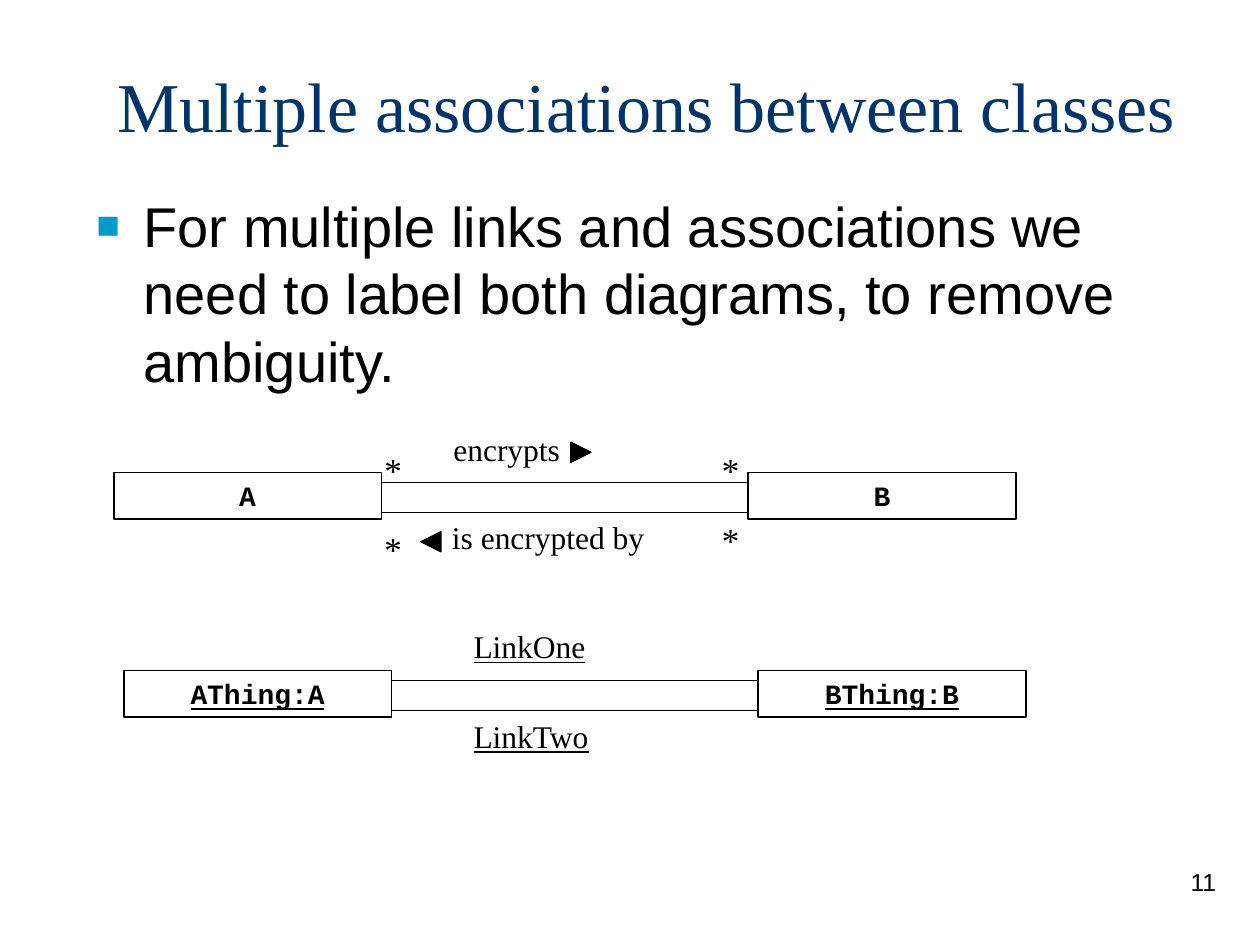
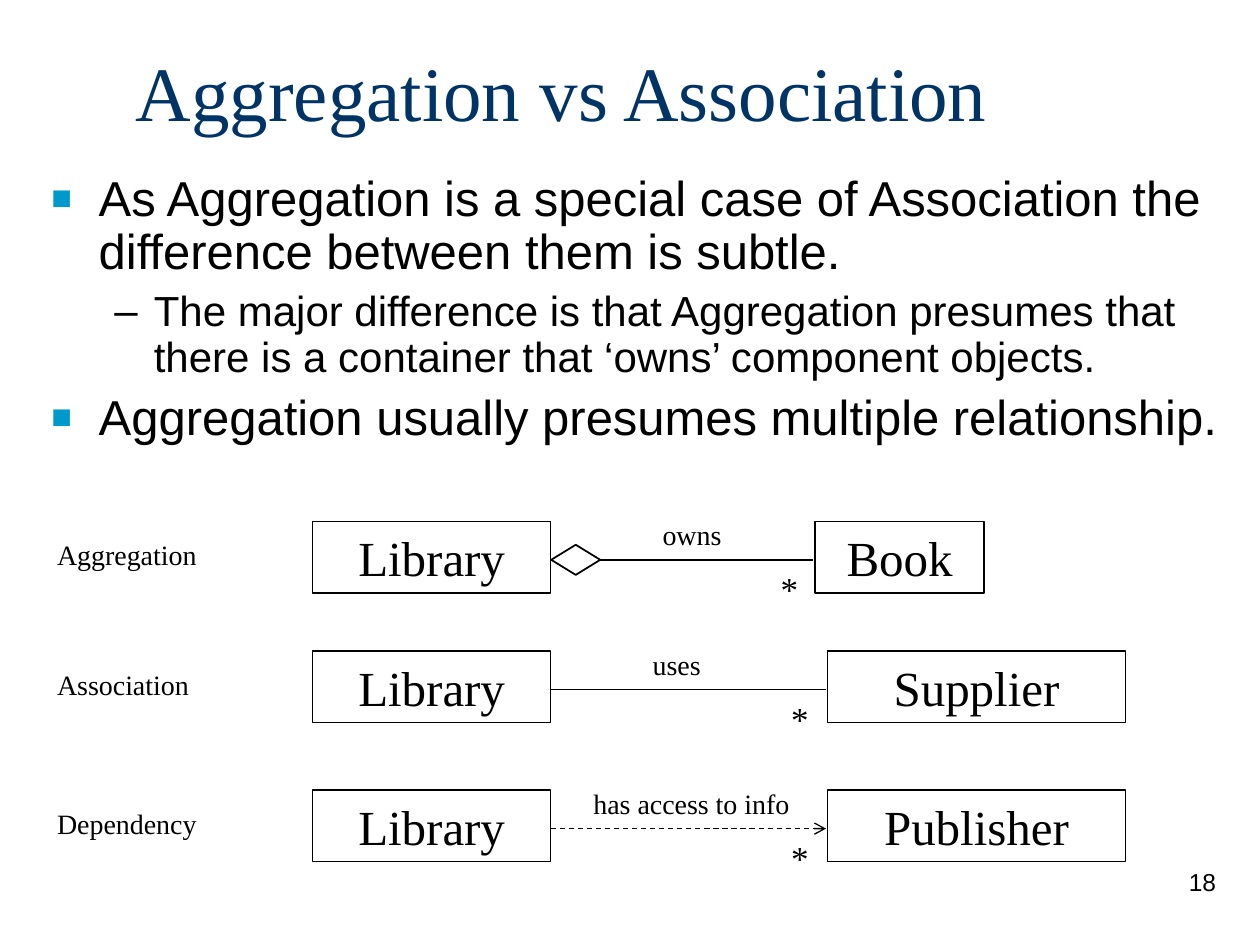
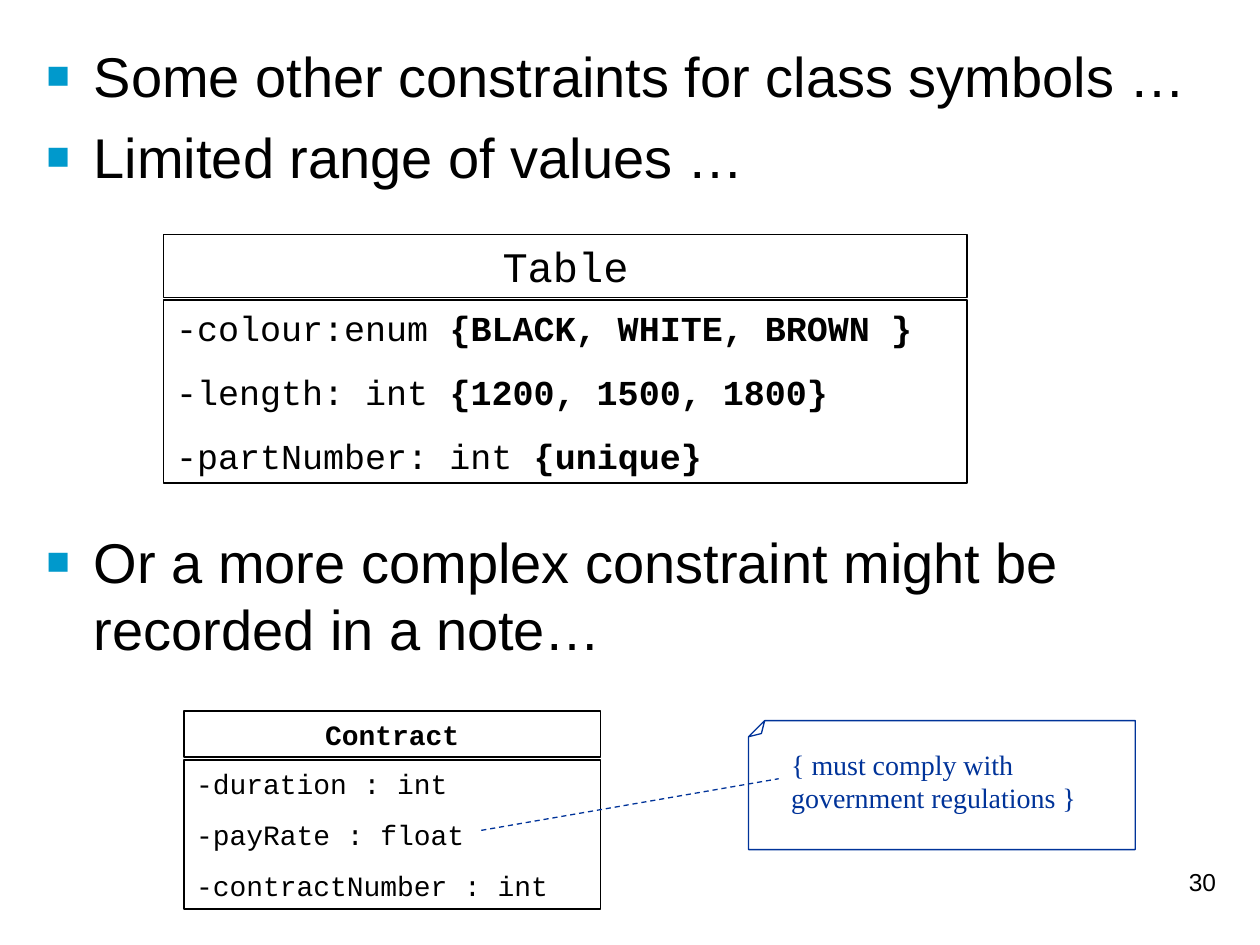
from lxml import etree
from pptx import Presentation
from pptx.dml.color import RGBColor
from pptx.enum.dml import MSO_LINE
from pptx.enum.shapes import MSO_CONNECTOR, MSO_SHAPE
from pptx.enum.text import MSO_ANCHOR, PP_ALIGN
from pptx.oxml.ns import qn
from pptx.util import Pt

LEFT, CENTER, RIGHT = PP_ALIGN.LEFT, PP_ALIGN.CENTER, PP_ALIGN.RIGHT
TOP, MIDDLE = MSO_ANCHOR.TOP, MSO_ANCHOR.MIDDLE
RECTANGLE, DIAMOND = MSO_SHAPE.RECTANGLE, MSO_SHAPE.DIAMOND
TRIANGLE, FOLDED_CORNER = MSO_SHAPE.ISOSCELES_TRIANGLE, MSO_SHAPE.FOLDED_CORNER
STRAIGHT, DASH = MSO_CONNECTOR.STRAIGHT, MSO_LINE.DASH


class Theme:
    ink = RGBColor.from_string("000000")
    title = RGBColor.from_string("003366")
    note = RGBColor.from_string("003399")
    bullet = "0099CC"
    serif, sans, mono = "Times New Roman", "Arial", "Courier New"
    thin, medium = 0.75, 1
    number_size, small, label, star = 14, 16, 18, 20
    attribute, class_name, entity = 20, 24, 28


def draw_box(page, frame, lines=(), font=Theme.serif, size=Theme.small, color=Theme.ink,
             bold=None, underline=None, align=LEFT, anchor=TOP, gap=0, wrap=True,
             preset=None, border=Theme.thin):
    """Draw a text box, or an outlined preset shape; in a tuple line, later spans are bold."""
    left, top, width, height = map(Pt, frame)
    if preset is None:
        box = page.shapes.add_textbox(left, top, width, height)
    else:
        box = page.shapes.add_shape(preset, left, top, width, height)
        box.shadow.inherit = False
        box.fill.background()
        box.line.color.rgb = color
        box.line.width = Pt(border)
    text_frame = box.text_frame
    text_frame.word_wrap = wrap
    text_frame.vertical_anchor = anchor
    for index, line in enumerate(lines):
        para = text_frame.add_paragraph() if index else text_frame.paragraphs[0]
        para.alignment = align
        if index:
            para.space_before = Pt(gap)
        para.font.name, para.font.size = font, Pt(size)
        para.font.bold, para.font.underline = bold, underline
        para.font.color.rgb = color
        for position, words in enumerate(line if isinstance(line, tuple) else (line,)):
            span = para.add_run()
            span.text = words
            if position:
                span.font.bold = True
    return box


def draw_line(page, start, end, color=Theme.ink, dash=None, arrow=False):
    line = page.shapes.add_connector(STRAIGHT, *map(Pt, (*start, *end)))
    line.line.color.rgb = color
    line.line.width = Pt(Theme.thin)
    if dash:
        line.line.dash_style = dash
    properties = line.element.spPr
    if arrow:
        etree.SubElement(properties.find(qn("a:ln")), qn("a:tailEnd"), type="arrow")
    etree.SubElement(properties, qn("a:effectLst"))


deck = Presentation()
deck.slide_width, deck.slide_height = Pt(720), Pt(540)

# Titles, bulleted text and page numbers
# Bullet: level, size, space before, text
outlines = [
    {"number": "11", "title": "Multiple associations between classes",
     "title_frame": (60, 15, 645, 90), "title_size": 40,
     "body_frame": (48, 106, 612, 402), "spacing": 1,
     "bullets": [(0, 32, 0, "For multiple links and associations we need to label both "
                            "diagrams, to remove ambiguity.")]},
    {"number": "18", "title": "Aggregation vs Association",
     "title_frame": (70.5, 15, 612, 73.5), "title_size": 44,
     "body_frame": (22.3, 96, 684.7, 171), "spacing": 0.9,
     "bullets": [(0, 28, 0, "As Aggregation is a special case of Association the "
                            "difference between them is subtle."),
                 (1, 24, 6, "The major difference is that Aggregation presumes that "
                            "there is a container that ‘owns’ component objects."),
                 (0, 28, 7, "Aggregation usually presumes multiple relationship.")]},
    {"number": "30", "title": None,
     "body_frame": (19.5, 20, 679, 408), "spacing": 1,
     "bullets": [(0, 32, 0, "Some other constraints for class symbols …"),
                 (0, 32, 8, "Limited range of values …"),
                 (0, 32, 193, "Or a more complex constraint might be recorded in a note…")]},
]
# Level: bullet character, colour, size in percent, text indent, hanging indent
levels = [("■", Theme.bullet, 70, 27, 27), ("–", str(Theme.ink), 100, 58.5, 22.5)]

pages = []
for outline in outlines:
    page = deck.slides.add_slide(deck.slide_layouts[6])
    pages.append(page)
    if outline["title"]:
        draw_box(page, outline["title_frame"], [outline["title"]],
                 size=outline["title_size"], color=Theme.title, anchor=MIDDLE)
    body = draw_box(page, outline["body_frame"]).text_frame
    for index, (level, size, gap, words) in enumerate(outline["bullets"]):
        mark, mark_color, percent, indent, hanging = levels[level]
        para = body.add_paragraph() if index else body.paragraphs[0]
        properties = para._p.get_or_add_pPr()
        properties.set("marL", str(Pt(indent)))
        properties.set("indent", str(-Pt(hanging)))
        etree.SubElement(etree.SubElement(properties, qn("a:buClr")), qn("a:srgbClr"),
                         val=mark_color)
        etree.SubElement(properties, qn("a:buSzPct"), val=str(percent * 1000))
        etree.SubElement(properties, qn("a:buFont"), typeface=Theme.sans)
        etree.SubElement(properties, qn("a:buChar"), char=mark)
        para.text = words
        para.level = level
        para.line_spacing = outline["spacing"]
        if index:
            para.space_before = Pt(gap)
        para.font.name, para.font.size = Theme.sans, Pt(size)
        para.font.color.rgb = Theme.ink
    draw_box(page, (552, 492, 150, 36), [outline["number"]], font=Theme.sans,
             size=Theme.number_size, align=RIGHT)

association_page, comparison_page, constraint_page = pages

# Class diagram and object diagram, each with two links
class_width, class_height, class_pitch = 153, 26.5, 362.5
for left, top, names, underline in [(65, 270, ("A", "B"), None),
                                    (70.7, 383.2, ("AThing:A", "BThing:B"), True)]:
    for column, name in enumerate(names):
        draw_box(association_page, (left + column * class_pitch, top, class_width, class_height),
                 [name], font=Theme.mono, bold=True, underline=underline, align=CENTER,
                 preset=RECTANGLE, border=Theme.medium)
    for drop in (5.8, 22.7):
        draw_line(association_page, (left + class_width, top + drop),
                  (left + class_pitch, top + drop))

for words, frame, underline in [("encrypts", (252, 242, 97, 29), None),
                                ("is encrypted by", (251.2, 292.5, 124.5, 29), None),
                                ("LinkOne", (263.5, 355, 78.5, 29), True),
                                ("LinkTwo", (263.5, 406, 81.5, 29), True)]:
    draw_box(association_page, frame, [words], size=Theme.label, underline=underline)
for left, top in [(212.5, 252.7), (405.5, 252.7), (212.5, 298), (405.5, 292.5)]:
    draw_box(association_page, (left, top, 24.5, 31.5), ["*"], size=Theme.star, wrap=False)
for left, top, rotation in [(326.2, 252.7, 90), (240.5, 303.8, 270)]:
    pointer = draw_box(association_page, (left, top, 11.5, 11.5), preset=TRIANGLE)
    pointer.rotation = rotation
    pointer.fill.solid()
    pointer.fill.fore_color.rgb = Theme.ink

# Three kinds of relationship, one per row
# Row: top, kind, label, label left, label width, part, part left, part width, star left, line
relationships = [
    (298, "Aggregation", "owns", 371.5, 57, "Book", 465.8, 96.5, 439, (342.8, 464.5)),
    (372, "Association", "uses", 365.8, 57, "Supplier", 473, 170, 445, (314.8, 472)),
    (451.5, "Dependency", "has access to info", 332, 136, "Publisher", 473, 170, 445,
     (314.8, 472)),
]
for (top, kind, label, label_left, label_width, part, part_left, part_width, star_left,
     (line_start, line_end)) in relationships:
    for name, left, width in [("Library", 178.7, 136), (part, part_left, part_width)]:
        draw_box(comparison_page, (left, top, width, 41), [name], size=Theme.entity,
                 align=CENTER, preset=RECTANGLE)
    depends = kind == "Dependency"
    draw_line(comparison_page, (line_start, top + 22), (line_end, top + 22),
              dash=DASH if depends else None, arrow=depends)
    draw_box(comparison_page, (star_left, top + 23, 24.5, 31.5), ["*"], size=Theme.star,
             wrap=False)
    draw_box(comparison_page, (25.5, top + 5.8, 99, 26.5), [kind])
    draw_box(comparison_page, (label_left, top - 5.8, label_width, 26.5), [label])
draw_box(comparison_page, (315, 311.3, 28, 17.2), preset=DIAMOND, border=Theme.medium)

# Class symbols with a name compartment above the attributes
table_attributes = [("-colour:enum ", "{BLACK, WHITE, BROWN }"),
                    ("-length: int ", "{1200, 1500, 1800}"),
                    ("-partNumber: int", " {unique}")]
contract_attributes = ["-duration : int", "-payRate : float", "-contractNumber : int"]
for (left, top, width, name_height, attributes_height, name, name_size, bold, attributes,
     size, gap) in [
        (93.5, 134, 459.3, 36, 104.5, "Table", Theme.class_name, None, table_attributes,
         Theme.attribute, 12.5),
        (105, 406.3, 238.2, 26.5, 85, "Contract", Theme.small, True, contract_attributes,
         Theme.small, 10)]:
    draw_box(constraint_page, (left, top, width, name_height), [name], font=Theme.mono,
             size=name_size, bold=bold, align=CENTER, preset=RECTANGLE, border=Theme.medium)
    draw_box(constraint_page, (left, top + name_height + 1.5, width, attributes_height),
             attributes, font=Theme.mono, size=size, gap=gap, preset=RECTANGLE,
             border=Theme.medium)

# Note attached to the pay rate, with its folded corner at the top left
note = draw_box(constraint_page, (427.7, 411.8, 221, 73.7), color=Theme.note,
                preset=FOLDED_CORNER)
note.rotation = 180
guides = note.element.spPr.find(qn("a:prstGeom")).find(qn("a:avLst"))
for guide in list(guides):
    guides.remove(guide)
etree.SubElement(guides, qn("a:gd"), name="adj", fmla="val 12500")
draw_box(constraint_page, (445, 423.4, 181.5, 46), ["{ must comply with government regulations }"],
         color=Theme.note)
draw_line(constraint_page, (275, 474.5), (445, 445), color=Theme.note, dash=DASH)

deck.save("out.pptx")
